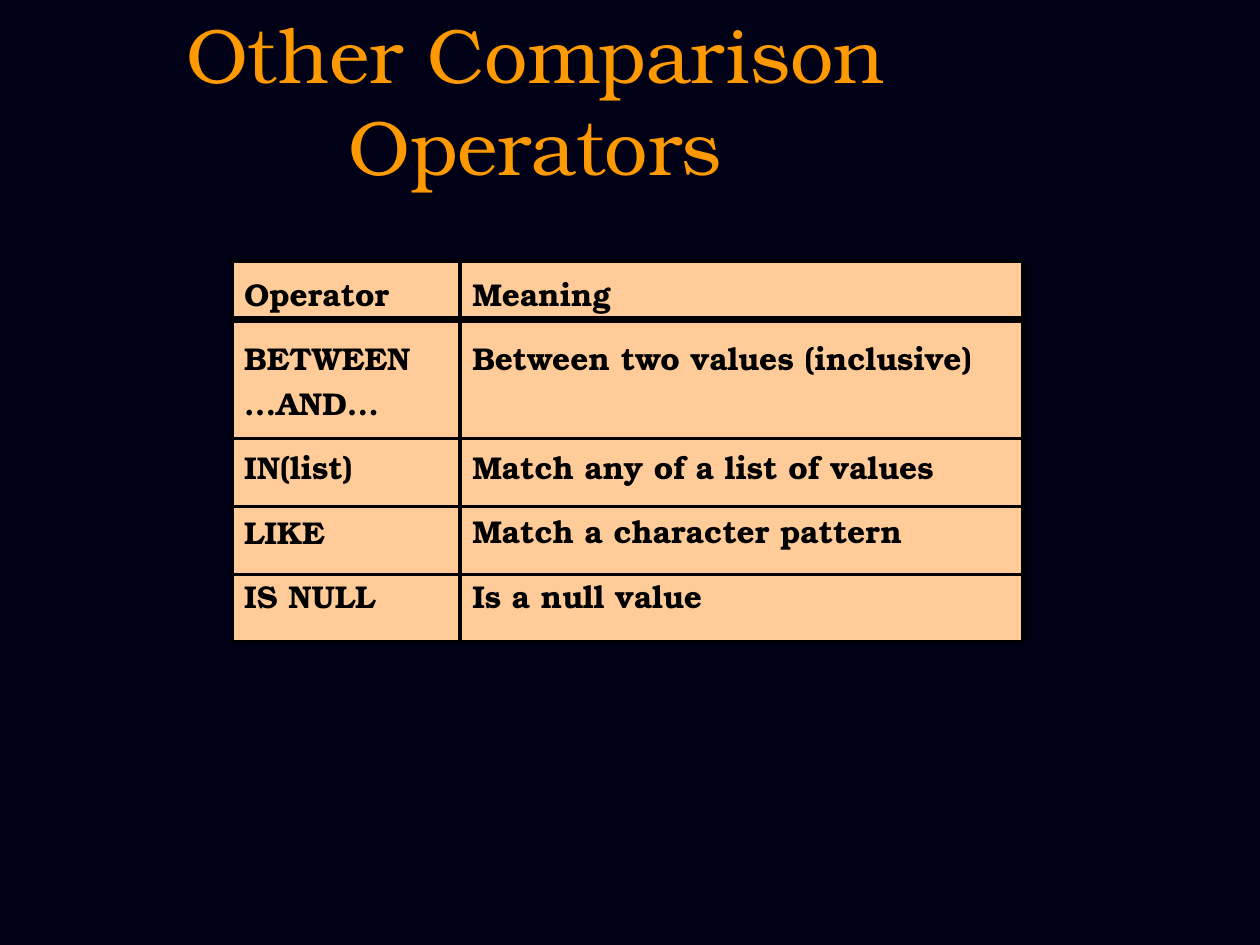
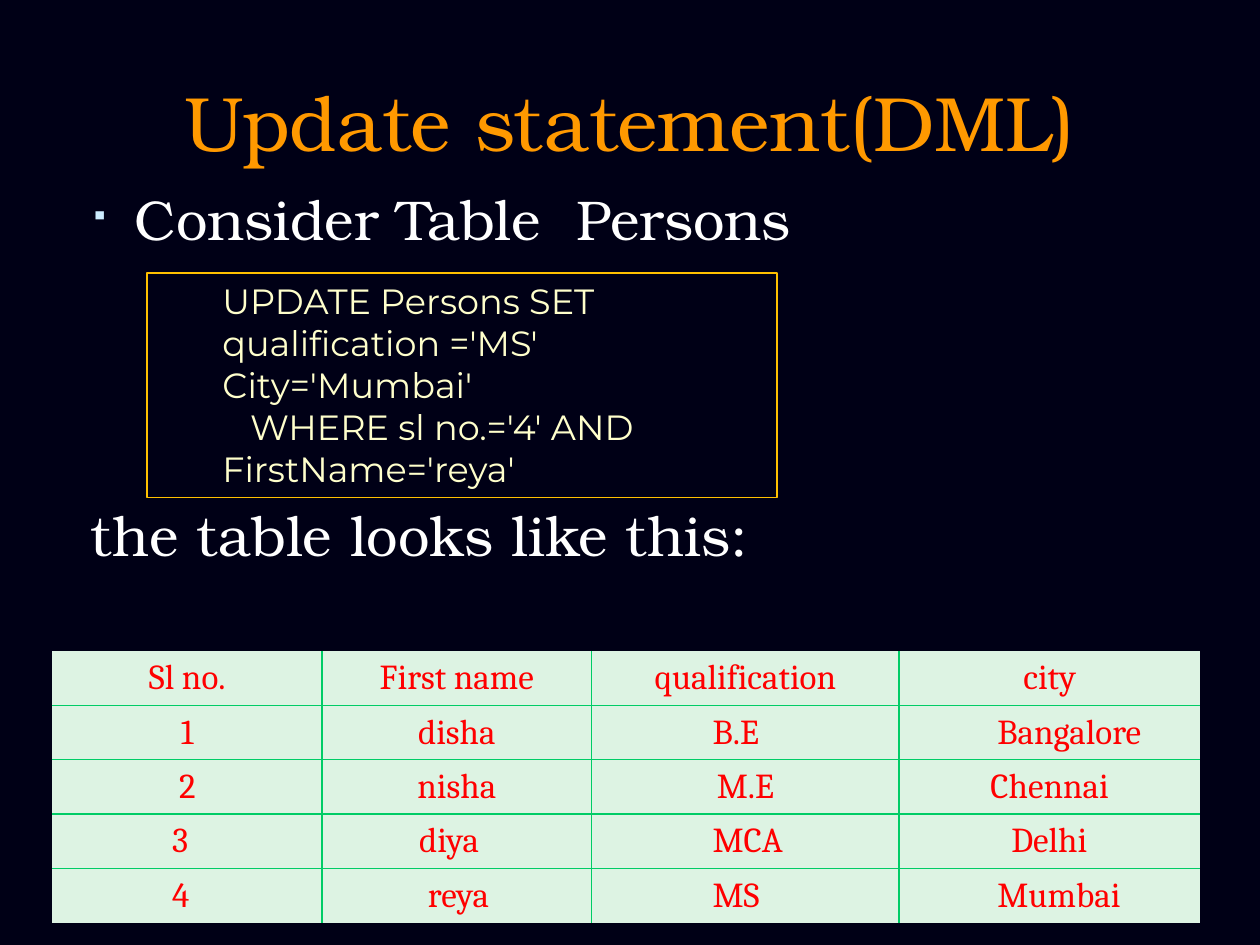
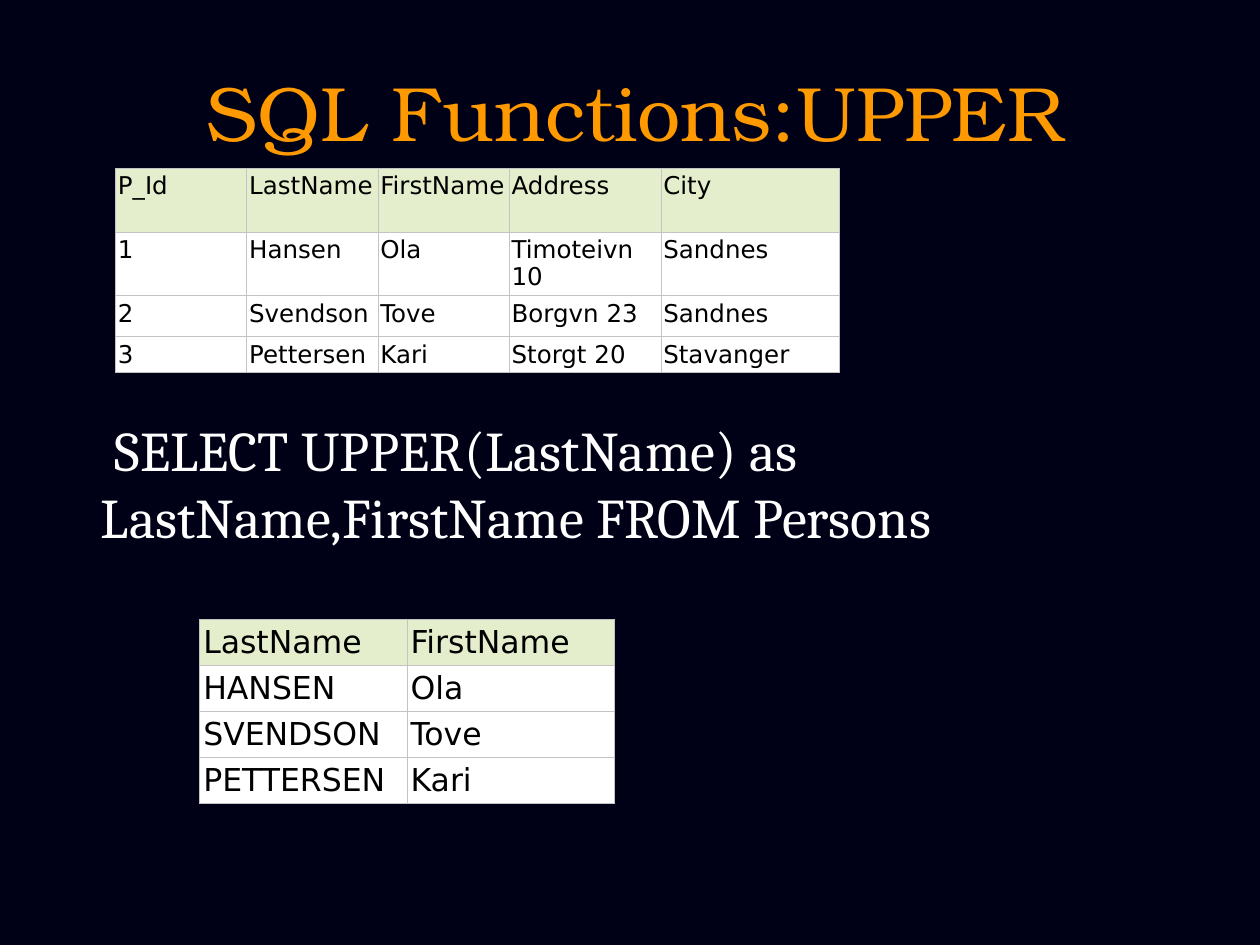
from lxml import etree
from pptx import Presentation
from pptx.dml.color import RGBColor
from pptx.enum.shapes import MSO_CONNECTOR, MSO_SHAPE
from pptx.enum.text import MSO_ANCHOR, PP_ALIGN
from pptx.oxml.ns import qn
from pptx.util import Inches, Pt

LEFT, CENTER = PP_ALIGN.LEFT, PP_ALIGN.CENTER
TOP, MIDDLE = MSO_ANCHOR.TOP, MSO_ANCHOR.MIDDLE
RECTANGLE, STRAIGHT = MSO_SHAPE.RECTANGLE, MSO_CONNECTOR.STRAIGHT

COLORS = {
    "background": "000016", "title": "FF9900", "body": "FFFFFF", "bullet": "CCECFF",
    "ink": "000000", "peach": "FFCC99", "code": "FFFFCC", "code_frame": "FFC000",
    "mint": "DDF3E3", "green": "00CC66", "red": "FF0000",
    "header": "E5EECC", "white": "FFFFFF", "grey": "C3C3C3",
}
RGB = {name: RGBColor.from_string(value) for name, value in COLORS.items()}
SERIF, TABLE_SERIF, SANS, CODE = "TeX Gyre Bonum", "Cambria", "DejaVu Sans", "Montserrat"
GRID_COLUMNS = 120

presentation = Presentation()
presentation.slide_width = Inches(10)
presentation.slide_height = Inches(7.5)
UNIT = presentation.slide_width / GRID_COLUMNS


def write_text(shape, lines, font_name, size, color, align=LEFT, anchor=TOP, bold=False, indents=()):
    frame = shape.text_frame
    frame.word_wrap = True
    frame.vertical_anchor = anchor
    frame.text = "\n".join(lines)
    for paragraph in frame.paragraphs:
        paragraph.alignment = align
        for run in paragraph.runs:
            run.font.name = font_name
            run.font.size = Pt(size)
            run.font.bold = bold
            run.font.color.rgb = RGB[color]
    for paragraph, (margin, indent) in zip(frame.paragraphs, indents):
        properties = paragraph._p.get_or_add_pPr()
        properties.set("marL", str(Inches(margin)))
        properties.set("indent", str(Inches(indent)))
    return frame.paragraphs


def draw_table(slide, left, top, widths, heights, rows, fills, inner, outer, insets, spacing, **text_style):
    frame = slide.shapes.add_table(
        len(heights), len(widths), int(left * UNIT), int(top * UNIT),
        int(sum(widths) * UNIT), int(sum(heights) * UNIT))
    table = frame.table
    table.first_row = table.horz_banding = False
    for column, width in zip(table.columns, widths):
        column.width = int(width * UNIT)
    for row, height in zip(table.rows, heights):
        row.height = int(height * UNIT)
    last_row, last_column = len(heights) - 1, len(widths) - 1
    for y, values in enumerate(rows):
        for x, value in enumerate(values):
            cell = table.cell(y, x)
            cell.margin_left, cell.margin_top, cell.margin_right, cell.margin_bottom = map(Inches, insets)
            cell.fill.solid()
            cell.fill.fore_color.rgb = RGB[fills[min(y, 1)]]
            write_text(cell, [value], **text_style)[0].line_spacing = spacing
            edges = {"lnL": x == 0, "lnR": x == last_column, "lnT": y == 0, "lnB": y == last_row}
            for position, (tag, is_outer) in enumerate(edges.items()):
                color, width = outer if is_outer else inner
                border = etree.Element(qn("a:" + tag), w=str(Pt(width)))
                fill = etree.SubElement(border, qn("a:solidFill"))
                etree.SubElement(fill, qn("a:srgbClr"), val=COLORS[color])
                cell._tc.get_or_add_tcPr().insert(position, border)
    return table


titles = [
    ("Other Comparison Operators", (0, 0, 102, 9), TOP),
    ("Update statement(DML)", (6, 4, 108, 15), MIDDLE),
    ("SQL Functions:UPPER", (16, 3, 89, 15), MIDDLE),
]
slides = []
for title, box, anchor in titles:
    slide = presentation.slides.add_slide(presentation.slide_layouts[6])
    slide.background.fill.solid()
    slide.background.fill.fore_color.rgb = RGB["background"]
    shape = slide.shapes.add_textbox(*(int(length * UNIT) for length in box))
    write_text(shape, [title], SERIF, 44, "title", CENTER, anchor)
    slides.append(slide)
operators_slide, update_slide, upper_slide = slides

operator_columns = [
    (22.08, 21.96, ["Operator", "BETWEEN\v...AND...", "IN(list)", "LIKE", "IS NULL"]),
    (43.8, 53.64, ["Meaning", "Between two values (inclusive)", "Match any of a list of values",
                   "Match a character pattern", "Is a null value"]),
]
for left, width, lines in operator_columns:
    shape = operators_slide.shapes.add_shape(
        RECTANGLE, *(int(length * UNIT) for length in (left, 24.84, width, 36.24)))
    shape.shadow.inherit = False
    shape.fill.solid()
    shape.fill.fore_color.rgb = RGB["peach"]
    shape.line.color.rgb = RGB["ink"]
    shape.line.width = Pt(2)
    paragraphs = write_text(shape, lines, SERIF, 18, "ink", bold=True)
    for paragraph in paragraphs:
        paragraph.line_spacing = 1.2
    for paragraph in paragraphs[1:]:
        paragraph.space_before = Pt(10.8)
paragraphs[1].space_after = Pt(25.8)

row_rules = [(30.42, 4)] + [(41.76 + 6.48 * step, 2) for step in range(3)]
for y, width in row_rules:
    rule = operators_slide.shapes.add_connector(
        STRAIGHT, *(int(length * UNIT) for length in (22, y, 97.4, y)))
    rule.line.color.rgb = RGB["ink"]
    rule.line.width = Pt(width)
    etree.SubElement(rule._element.spPr, qn("a:effectLst"))

shape = update_slide.shapes.add_textbox(*(int(length * UNIT) for length in (6, 17, 108, 40)))
consider, result = write_text(
    shape, ["Consider Table  Persons", "the table looks like this:"], SERIF, 32, "body",
    indents=[(0.47, -0.35), (0.47, -0.35)])
result.space_before = Pt(142)
properties = consider._p.get_or_add_pPr()
bullet_color = etree.SubElement(properties, qn("a:buClr"))
etree.SubElement(bullet_color, qn("a:srgbClr"), val=COLORS["bullet"])
etree.SubElement(properties, qn("a:buSzPct"), val="45000")
etree.SubElement(properties, qn("a:buChar"), char="▪")

persons = [
    ["Sl no.", "First name", "qualification", "city"],
    ["1", "disha", "B.E", "Bangalore"],
    ["2", "nisha", "M.E", "Chennai"],
    ["3", "diya", "MCA", "Delhi"],
    ["4", "reya", "MS", "Mumbai"],
]
persons_table = draw_table(
    update_slide, 5, 62, [25.68, 25.68, 29.28, 28.68], [5.18] * 5, persons, ["mint", "mint"],
    ("green", 1), ("white", 0.03), (0.1, 0.07, 0.1, 0.05), 0.93,
    font_name=TABLE_SERIF, size=20, color="red", align=CENTER)
indented_cells = {
    (1, 2): 0.86, (1, 3): 0.68,
    (3, 0): 0.85, (3, 1): 0.67, (3, 2): 0.86, (3, 3): 0.79,
    (4, 0): 0.85, (4, 1): 0.74, (4, 2): 0.86, (4, 3): 0.68,
}
for (y, x), margin in indented_cells.items():
    paragraph = persons_table.cell(y, x).text_frame.paragraphs[0]
    paragraph.alignment = LEFT
    paragraph._p.get_or_add_pPr().set("marL", str(Inches(margin)))

code_box = update_slide.shapes.add_shape(
    RECTANGLE, *(int(length * UNIT) for length in (14, 26, 60, 21.36)))
code_box.shadow.inherit = False
code_box.fill.background()
code_box.line.color.rgb = RGB["code_frame"]
code_box.line.width = Pt(0.75)
write_text(
    code_box,
    ["UPDATE Persons SET qualification ='MS' City='Mumbai'", "WHERE sl no.='4' AND FirstName='reya'"],
    CODE, 20, "code", indents=[(0.5, 0), (0.5, 0.22)])

shape = upper_slide.shapes.add_textbox(*(int(length * UNIT) for length in (4, 39, 108, 16)))
write_text(
    shape, ["SELECT UPPER(LastName) as LastName,FirstName FROM Persons"],
    TABLE_SERIF, 32, "body", indents=[(0.37, 0.11)])

source_rows = [
    ["P_Id", "LastName", "FirstName", "Address", "City"],
    ["1", "Hansen", "Ola", "Timoteivn 10", "Sandnes"],
    ["2", "Svendson", "Tove", "Borgvn 23", "Sandnes"],
    ["3", "Pettersen", "Kari", "Storgt 20", "Stavanger"],
]
upper_rows = [[row[1].upper() if y else row[1], row[2]] for y, row in enumerate(source_rows)]
query_tables = [
    (11, 16, [12.5, 12.5, 12.5, 14.45, 17], [6.08, 6.08, 3.9, 3.4], source_rows,
     (0.02, 0.04, 0.02, 0.02), 14),
    (19, 59, [19.75] * 2, [4.38] * 4, upper_rows, (0.03, 0.05, 0.03, 0.03), 18),
]
for left, top, widths, heights, rows, insets, size in query_tables:
    draw_table(
        upper_slide, left, top, widths, heights, rows, ["header", "white"],
        ("grey", 0.34), ("grey", 0.34), insets, 0.94,
        font_name=SANS, size=size, color="ink")

presentation.save("out.pptx")
